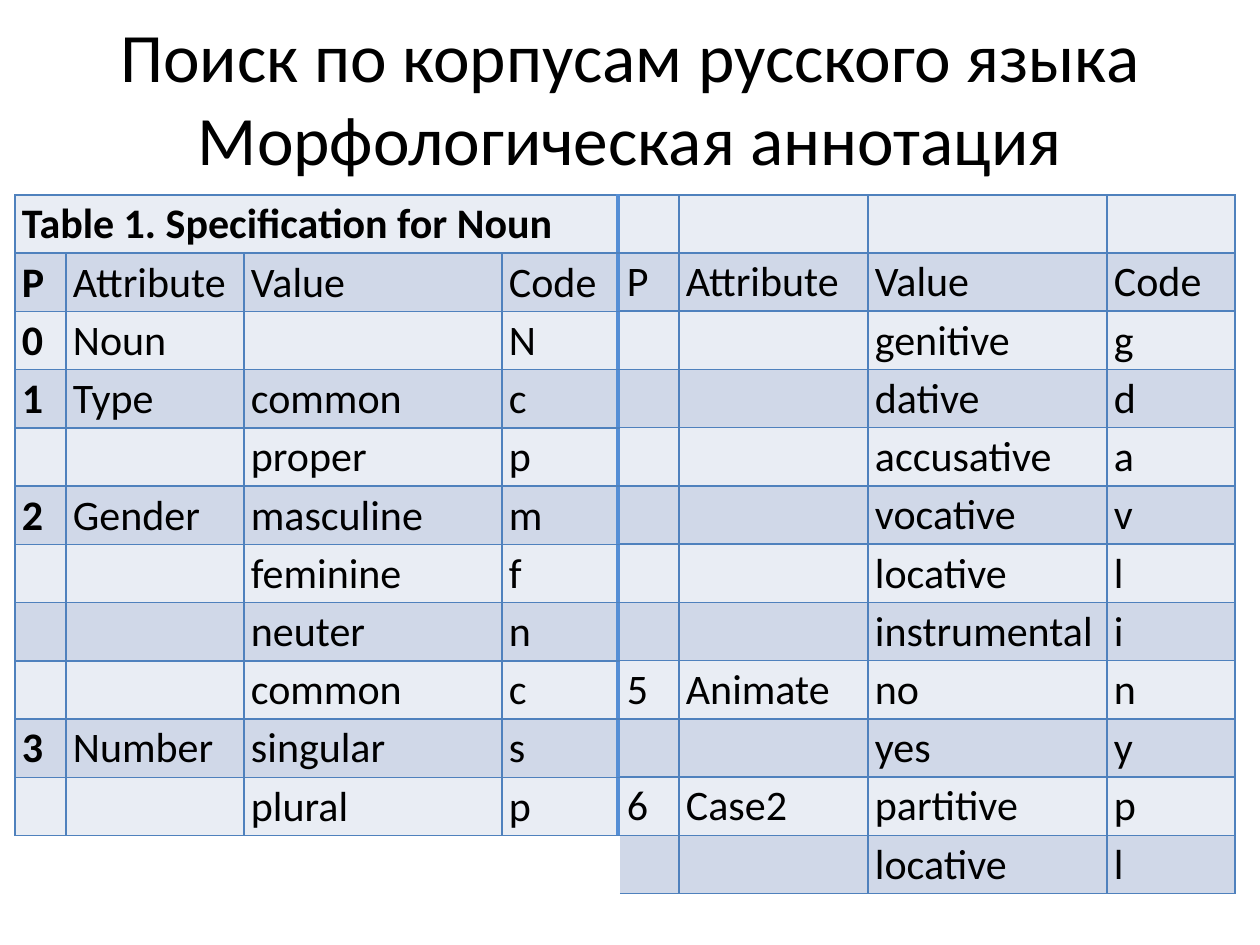
from dataclasses import dataclass
from typing import Optional

from lxml import etree
from pptx import Presentation
from pptx.dml.color import RGBColor
from pptx.enum.text import MSO_ANCHOR, MSO_AUTO_SIZE, PP_ALIGN
from pptx.oxml.ns import qn
from pptx.util import Emu, Pt

MIDDLE, TOP = MSO_ANCHOR.MIDDLE, MSO_ANCHOR.TOP
CENTER = PP_ALIGN.CENTER
NO_AUTOFIT = MSO_AUTO_SIZE.NONE

EMU_PER_PX = 914400 / 126
COLORS = {
    "text": "000000",
    "light band": "E9EDF4",
    "dark band": "D0D8E8",
    "grid": "4F81BD",
    "divider": "558ED5",
}
FONT = "Calibri"
ROW_HEIGHT = 58
TITLE_LINES = ("Поиск по корпусам русского языка", "Морфологическая аннотация")
HEADER = ("P", "Attribute", "Value", "Code")


@dataclass(frozen=True)
class Border:
    color: str
    points: float


GRID = Border("grid", 1)
DIVIDER = Border("divider", 4.5)


@dataclass(frozen=True)
class SpecificationTable:
    left: int
    top: int
    column_widths: tuple[int, ...]
    rows: tuple[tuple[str, ...], ...]
    caption: str = ""
    bold_first_column: bool = False
    left_edge: Optional[Border] = GRID
    right_edge: Optional[Border] = GRID


TABLES = (
    SpecificationTable(
        15, 195, (51, 178, 258, 118),
        (
            HEADER,
            ("0", "Noun", "", "N"),
            ("1", "Type", "common", "c"),
            ("", "", "proper", "p"),
            ("2", "Gender", "masculine", "m"),
            ("", "", "feminine", "f"),
            ("", "", "neuter", "n"),
            ("", "", "common", "c"),
            ("3", "Number", "singular", "s"),
            ("", "", "plural", "p"),
        ),
        caption="Table 1. Specification for Noun",
        bold_first_column=True,
        right_edge=DIVIDER,
    ),
    SpecificationTable(
        620, 195, (59, 189, 239, 128),
        (
            HEADER,
            ("", "", "genitive", "g"),
            ("", "", "dative", "d"),
            ("", "", "accusative", "a"),
            ("", "", "vocative", "v"),
            ("", "", "locative", "l"),
            ("", "", "instrumental", "i"),
            ("5", "Animate", "no", "n"),
            ("", "", "yes", "y"),
            ("6", "Case2", "partitive", "p"),
            ("", "", "locative", "l"),
        ),
        left_edge=None,
    ),
)


def px(length: int) -> Emu:
    return Emu(round(length * EMU_PER_PX))


def set_attributes(target, values: dict) -> None:
    for name, value in values.items():
        setattr(target, name, value)


def format_font(font, size: float, bold: bool = False) -> None:
    set_attributes(font, {"name": FONT, "size": Pt(size), "bold": bold})
    font.color.rgb = RGBColor.from_string(COLORS["text"])


def set_borders(cell, borders: dict[str, Optional[Border]]) -> None:
    properties = cell._tc.get_or_add_tcPr()
    # Border lines come before the fill in the cell properties
    for position, (side, border) in enumerate(borders.items()):
        line = etree.Element(qn(f"a:ln{side}"))
        properties.insert(position, line)
        if border is None:
            etree.SubElement(line, qn("a:noFill"))
            continue
        line.set("w", str(Pt(border.points)))
        fill = etree.SubElement(line, qn("a:solidFill"))
        etree.SubElement(fill, qn("a:srgbClr"), val=COLORS[border.color])


def add_title(slide) -> None:
    title = slide.shapes.title
    set_attributes(title, {"left": px(63), "top": px(38),
                           "width": px(1134), "height": px(117)})
    set_attributes(title.text_frame, {"word_wrap": True, "auto_size": NO_AUTOFIT,
                                      "vertical_anchor": MIDDLE})
    paragraph = title.text_frame.paragraphs[0]
    paragraph.alignment = CENTER
    for index, text in enumerate(TITLE_LINES):
        if index:
            paragraph.add_line_break()
        run = paragraph.add_run()
        run.text = text
        format_font(run.font, 39.6)


def add_specification_table(slide, data: SpecificationTable) -> None:
    column_count = len(data.column_widths)
    rows = ((data.caption,) + ("",) * (column_count - 1),) + data.rows
    table = slide.shapes.add_table(
        len(rows), column_count, px(data.left), px(data.top),
        px(sum(data.column_widths)), px(ROW_HEIGHT * len(rows)),
    ).table
    set_attributes(table, {"first_row": False, "horz_banding": False})
    for column, width in zip(table.columns, data.column_widths):
        column.width = px(width)
    if data.caption:
        table.cell(0, 0).merge(table.cell(0, column_count - 1))

    for row_index, row in enumerate(rows):
        band = "dark band" if row_index % 2 else "light band"
        for column_index, text in enumerate(row):
            cell = table.cell(row_index, column_index)
            is_caption = bool(data.caption) and row_index == 0
            is_first = column_index == 0
            is_last = is_caption or column_index == column_count - 1
            set_attributes(cell, {
                "margin_left": px(7), "margin_right": px(7),
                "margin_top": px(4), "margin_bottom": px(3),
                "vertical_anchor": MIDDLE if is_caption else TOP,
            })
            cell.fill.solid()
            cell.fill.fore_color.rgb = RGBColor.from_string(COLORS[band])
            set_borders(cell, {
                "L": data.left_edge if is_first else GRID,
                "R": data.right_edge if is_last else GRID,
                "T": GRID,
                "B": GRID,
            })
            if text:
                run = cell.text_frame.paragraphs[0].add_run()
                run.text = text
                format_font(run.font, 24, is_first and data.bold_first_column)


def main() -> None:
    presentation = Presentation()
    set_attributes(presentation, {"slide_width": px(1260), "slide_height": px(945)})
    # Title-only layout
    slide = presentation.slides.add_slide(presentation.slide_layouts[5])
    add_title(slide)
    for data in TABLES:
        add_specification_table(slide, data)
    presentation.save("out.pptx")


if __name__ == "__main__":
    main()
